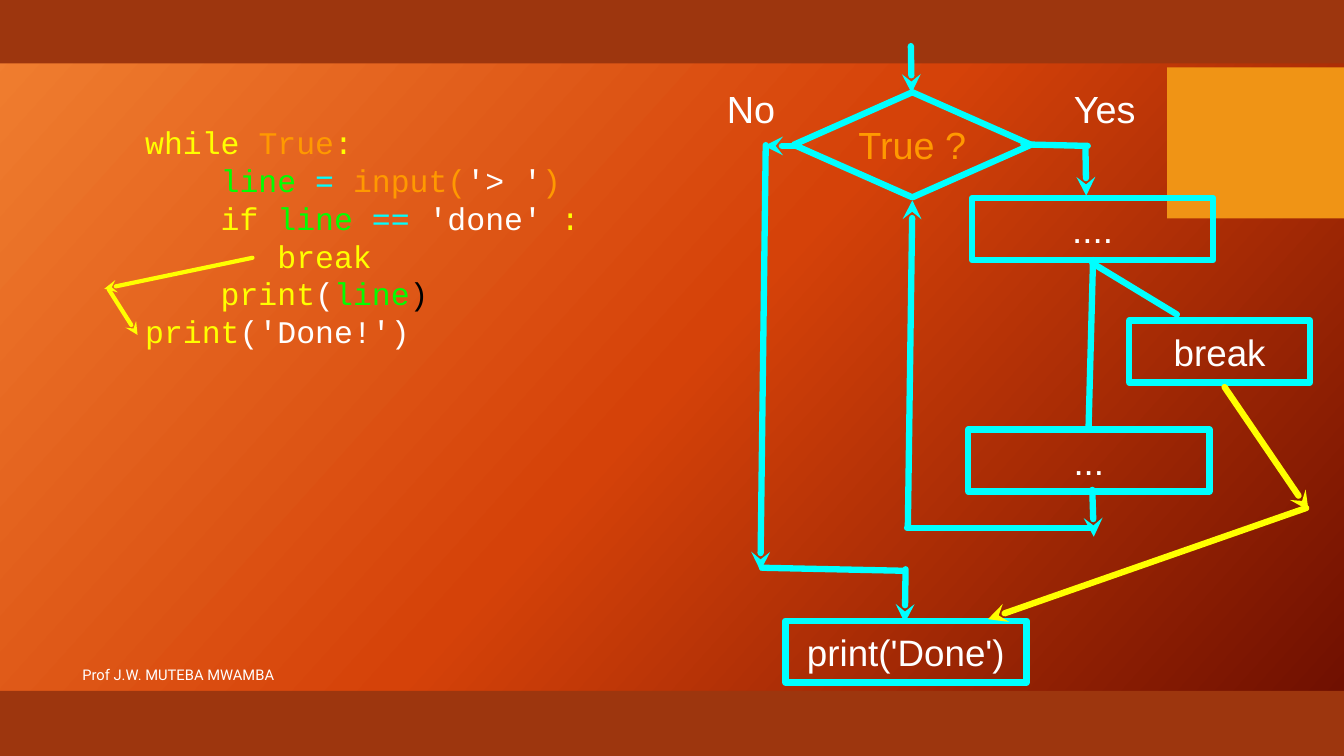
from copy import deepcopy

from pptx import Presentation
from pptx.dml.color import RGBColor
from pptx.enum.shapes import MSO_CONNECTOR, MSO_SHAPE
from pptx.enum.text import MSO_ANCHOR, PP_ALIGN
from pptx.oxml.ns import qn
from pptx.oxml.xmlchemy import OxmlElement
from pptx.util import Inches, Pt

RECT, DIAMOND = MSO_SHAPE.RECTANGLE, MSO_SHAPE.DIAMOND
STRAIGHT = MSO_CONNECTOR.STRAIGHT
MIDDLE = MSO_ANCHOR.MIDDLE
LEFT, CENTER = PP_ALIGN.LEFT, PP_ALIGN.CENTER

WHITE, BLACK = "FFFFFF", "000000"
CYAN, YELLOW, GREEN, ORANGE = "00FFFF", "FFFF00", "00FF00", "FF9900"
BAND, ACCENT = "9D360E", "F09415"
GRADIENT = [(0, "F18031"), (0.5, "D54209"), (1, "6A0D00")]

CODE = [
    [("while ", YELLOW), ("True", ORANGE), (":", YELLOW)],
    [("    ", WHITE), ("line ", GREEN), ("= ", CYAN), ("input(", ORANGE),
     ("'> '", WHITE), (")", ORANGE)],
    [("    ", WHITE), ("if ", YELLOW), ("line ", GREEN), ("== ", CYAN),
     ("'done'", WHITE), (" :", YELLOW)],
    [("       ", WHITE), ("break", YELLOW)],
    [("    ", WHITE), ("print", YELLOW), ("(", WHITE), ("line", GREEN), (")", BLACK)],
    [("print", YELLOW), ("('Done!')", WHITE)],
]

STEP_HEIGHT = 0.82
# text, left, top, width
STEPS = [
    ("print('Done')", 10.39, 8.21, 3.19),
    ("....", 12.86, 2.62, 3.19),
    ("...", 12.81, 5.68, 3.19),
    ("break", 14.94, 4.24, 2.39),
]

# start, end, in the direction of the flow
FLOW_ARROWS = [
    ((12.05, 0.61), (12.06, 1.23)),
    ((12.01, 6.98), (12.07, 2.65)),
    ((10.55, 1.93), (10.11, 1.93)),
    ((11.98, 7.53), (11.97, 8.24)),
    ((10.13, 1.92), (10.06, 7.55)),
    ((14.45, 6.48), (14.47, 7.1)),
    ((14.36, 1.97), (14.37, 2.59)),
]
FLOW_LINES = [
    ((14.39, 1.93), (13.54, 1.91)),
    ((14.4, 5.68), (14.46, 3.44)),
    ((12, 6.98), (14.43, 6.98)),
    ((10.08, 7.51), (11.96, 7.55)),
    ((15.57, 4.16), (14.45, 3.48)),
]
BREAK_ARROWS = [((16.2, 5.12), (17.31, 6.75)), ((17.28, 6.72), (13.07, 8.19))]
CODE_ARROWS = [((1.44, 3.83), (1.82, 4.43)), ((3.34, 3.41), (1.38, 3.82))]


def rgb(value):
    return RGBColor.from_string(value)


def set_background(slide):
    fill = slide.background.fill
    fill.gradient()
    fill.gradient_angle = 360 - 42
    stop_list = slide.element.find(".//" + qn("a:gsLst"))
    stop_list.append(deepcopy(stop_list[-1]))
    for stop, (position, color) in zip(fill.gradient_stops, GRADIENT):
        stop.position = position
        stop.color.rgb = rgb(color)


def style_line(line, color, width, arrow=False):
    """Draw a round-ended line, with a stealth head at its end if arrow is set."""
    line.color.rgb = rgb(color)
    line.width = Pt(width)
    outline = line._get_or_add_ln()
    outline.set("cap", "rnd")
    outline.append(OxmlElement("a:round"))
    if arrow:
        head = OxmlElement("a:tailEnd")
        head.set("type", "stealth")
        outline.append(head)


def add_lines(slide, routes, color, width, arrow=False):
    for start, end in routes:
        points = [Inches(value) for value in start + end]
        connector = slide.shapes.add_connector(STRAIGHT, *points)
        style_line(connector.line, color, width, arrow)
        connector._element.spPr.append(OxmlElement("a:effectLst"))


def add_panel(slide, box, color):
    panel = slide.shapes.add_shape(RECT, *map(Inches, box))
    panel.shadow.inherit = False
    panel.fill.solid()
    panel.fill.fore_color.rgb = rgb(color)
    panel.line.fill.background()


def write(shape, lines, size, font="Arial", align=CENTER, spacing=None, margins=(0, 0)):
    """Fill a shape with lines, each a list of (text, color) runs."""
    side, end = map(Inches, margins)
    frame_format = {"word_wrap": True, "vertical_anchor": MIDDLE,
                    "margin_left": side, "margin_right": side,
                    "margin_top": end, "margin_bottom": end}
    for name, value in frame_format.items():
        setattr(shape.text_frame, name, value)
    for index, runs in enumerate(lines):
        frame = shape.text_frame
        paragraph = frame.add_paragraph() if index else frame.paragraphs[0]
        paragraph.alignment = align
        paragraph.line_spacing = spacing
        for text, color in runs:
            run = paragraph.add_run()
            run.text = text
            run.font.name = font
            run.font.size = Pt(size)
            run.font.color.rgb = rgb(color)


def add_node(slide, kind, box, text, size, color=WHITE):
    node = slide.shapes.add_shape(kind, *map(Inches, box))
    node.shadow.inherit = False
    node.fill.background()
    style_line(node.line, CYAN, 6)
    write(node, [[(text, color)]], size)


def add_text(slide, box, lines, size, **text_format):
    write(slide.shapes.add_textbox(*map(Inches, box)), lines, size, **text_format)


def main():
    deck = Presentation()
    deck.slide_width, deck.slide_height = Inches(17.78), Inches(10)
    slide = deck.slides.add_slide(deck.slide_layouts[6])

    set_background(slide)
    add_panel(slide, (0, 0, 17.78, 0.84), BAND)
    add_panel(slide, (0, 9.14, 17.78, 0.86), BAND)
    add_panel(slide, (15.44, 0.89, 2.34, 2), ACCENT)

    add_node(slide, DIAMOND, (10.5, 1.22, 3.14, 1.39), "True ?", 36, ORANGE)
    for text, left, top, width in STEPS:
        add_node(slide, RECT, (left, top, width, STEP_HEIGHT), text, 35)
    add_text(slide, (9.54, 1.1, 0.79, 0.68), [[("No", WHITE)]], 36)
    add_text(slide, (14.04, 1.1, 1.15, 0.68), [[("Yes", WHITE)]], 36)

    add_lines(slide, FLOW_LINES, CYAN, 6)
    add_lines(slide, FLOW_ARROWS, CYAN, 6, arrow=True)
    add_lines(slide, BREAK_ARROWS, YELLOW, 6, arrow=True)

    add_text(slide, (1.92, 1.31, 7.17, 3.64), CODE, 30,
             font="Courier New", align=LEFT, spacing=Pt(36))
    add_lines(slide, CODE_ARROWS, YELLOW, 4, arrow=True)
    add_text(slide, (0.99, 8.66, 10.02, 0.53), [[("Prof J.W. MUTEBA MWAMBA", WHITE)]],
             14, font="Roboto", align=LEFT, margins=(0.1, 0.05))

    deck.save("out.pptx")


if __name__ == "__main__":
    main()
